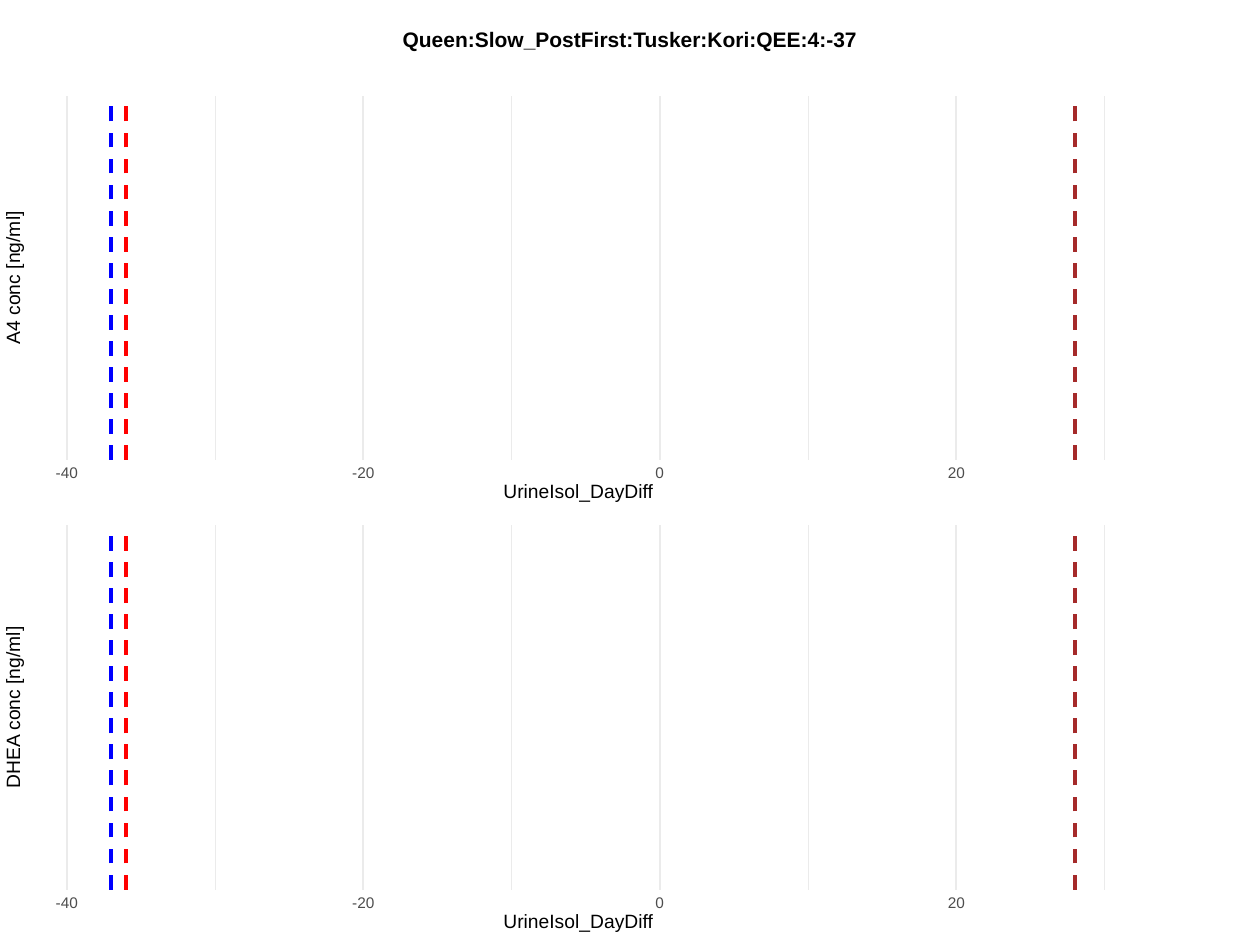
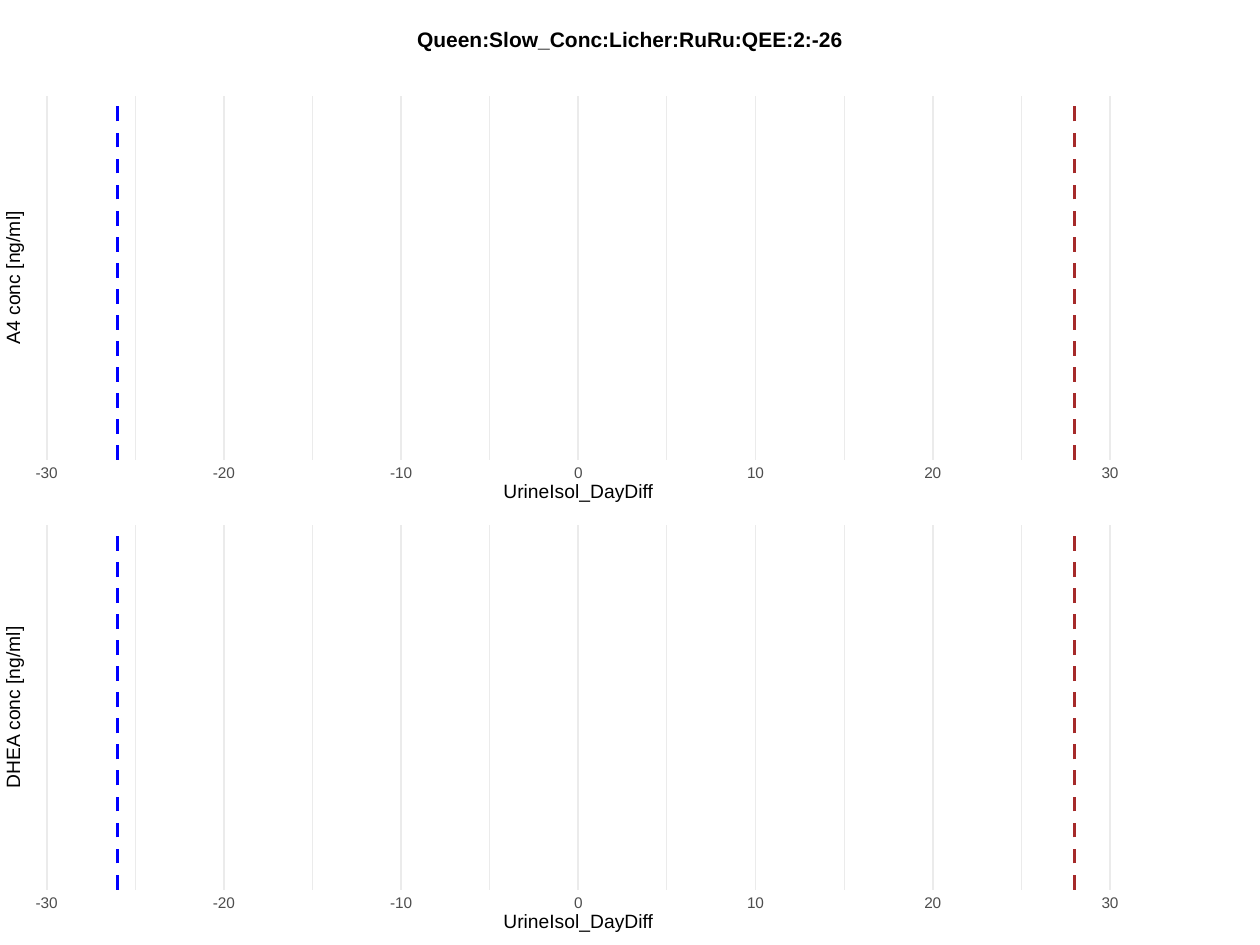
from lxml import etree
from pptx import Presentation
from pptx import util as u
from pptx.dml.color import RGBColor
from pptx.enum import dml, shapes, text
from pptx.oxml.ns import qn

FONT = "Arial"
BLACK, TICK_GREY, GRID_GREY, WHITE = "000000", "4D4D4D", "EBEBEB", "FFFFFF"
RED, BLUE, BROWN = "FF0000", "0000FF", "A52A2A"
TITLE_WIDTH = 3.8
PANEL_HEIGHT = 2.89
PANELS = [(0.76, "A4 conc [ng/ml]", 1.05), (4.17, "DHEA conc [ng/ml]", 1.29)]
PAGES = [
    {
        "title": "Queen:Slow_PostFirst:Tusker:Kori:QEE:4:-37",
        "ticks": range(-40, 21, 20),
        "minor_days": range(-30, 31, 20),
        "ends": (0.53, 7.59),
        "events": [(-36, RED), (-37, BLUE), (28, BROWN)],
    },
    {
        "title": "Queen:Slow_Conc:Licher:RuRu:QEE:2:-26",
        "ticks": range(-30, 31, 10),
        "minor_days": range(-25, 26, 10),
        "ends": (0.37, 8.81),
        "events": [(-26, BLUE), (28, BROWN)],
    },
]


def write(box, words, center_x, center_y, width, height, size, color, bold=False):
    box.left, box.top = u.Inches(center_x - width / 2), u.Inches(center_y - height / 2)
    box.width, box.height = u.Inches(width), u.Inches(height)
    frame = box.text_frame
    frame.margin_left = frame.margin_right = frame.margin_top = frame.margin_bottom = 0
    frame.word_wrap = False
    frame.auto_size = text.MSO_AUTO_SIZE.NONE
    frame.vertical_anchor = text.MSO_ANCHOR.MIDDLE
    para = frame.paragraphs[0]
    para.alignment = text.PP_ALIGN.CENTER
    para.line_spacing = u.Pt(size)
    span = para.add_run()
    span.text = words
    span.font.name, span.font.size, span.font.bold = FONT, u.Pt(size), bold
    span.font.color.rgb = RGBColor.from_string(color)


def draw_vertical(page, x, top, color, weight, dash=None):
    line = page.shapes.add_connector(
        shapes.MSO_CONNECTOR.STRAIGHT,
        u.Inches(x), u.Inches(top + PANEL_HEIGHT), u.Inches(x), u.Inches(top),
    )
    line.line.color.rgb = RGBColor.from_string(color)
    line.line.width = u.Pt(weight)
    if dash:
        line.line.dash_style = dash
    etree.SubElement(line._element.spPr, qn("a:effectLst"))


deck = Presentation()
deck.slide_width, deck.slide_height = u.Inches(10), u.Inches(7.5)

for content in PAGES:
    page = deck.slides.add_slide(deck.slide_layouts[5])
    page.background.fill.solid()
    page.background.fill.fore_color.rgb = RGBColor.from_string(WHITE)
    write(page.shapes.title, content["title"], 5, 0.325, TITLE_WIDTH, 0.15, 12, BLACK, True)

    ticks = content["ticks"]
    first_x, last_x = content["ends"]
    inches_per_day = (last_x - first_x) / (ticks[-1] - ticks[0])

    for top, y_title, y_title_width in PANELS:
        for days, weight in ((content["minor_days"], 0.53), (ticks, 1.07)):
            for day in days:
                draw_vertical(page, first_x + (day - ticks[0]) * inches_per_day, top, GRID_GREY, weight)

        for day, color in content["events"]:
            x = first_x + (day - ticks[0]) * inches_per_day
            draw_vertical(page, x, top, color, 2.13, dml.MSO_LINE.DASH)

        for day in ticks:
            x = first_x + (day - ticks[0]) * inches_per_day
            width = 0.07 * len(str(abs(day))) + (0.04 if day < 0 else 0)
            box = page.shapes.add_textbox(0, 0, 0, 0)
            write(box, str(day), x, top + 3, width, 0.09, 8.8, TICK_GREY)

        box = page.shapes.add_textbox(0, 0, 0, 0)
        write(box, "UrineIsol_DayDiff", 4.59, top + 3.15, 1.19, 0.14, 11, BLACK)

        box = page.shapes.add_textbox(0, 0, 0, 0)
        write(box, y_title, 0.115, top + PANEL_HEIGHT / 2, y_title_width, 0.14, 11, BLACK)
        box.rotation = 270

deck.save("out.pptx")
